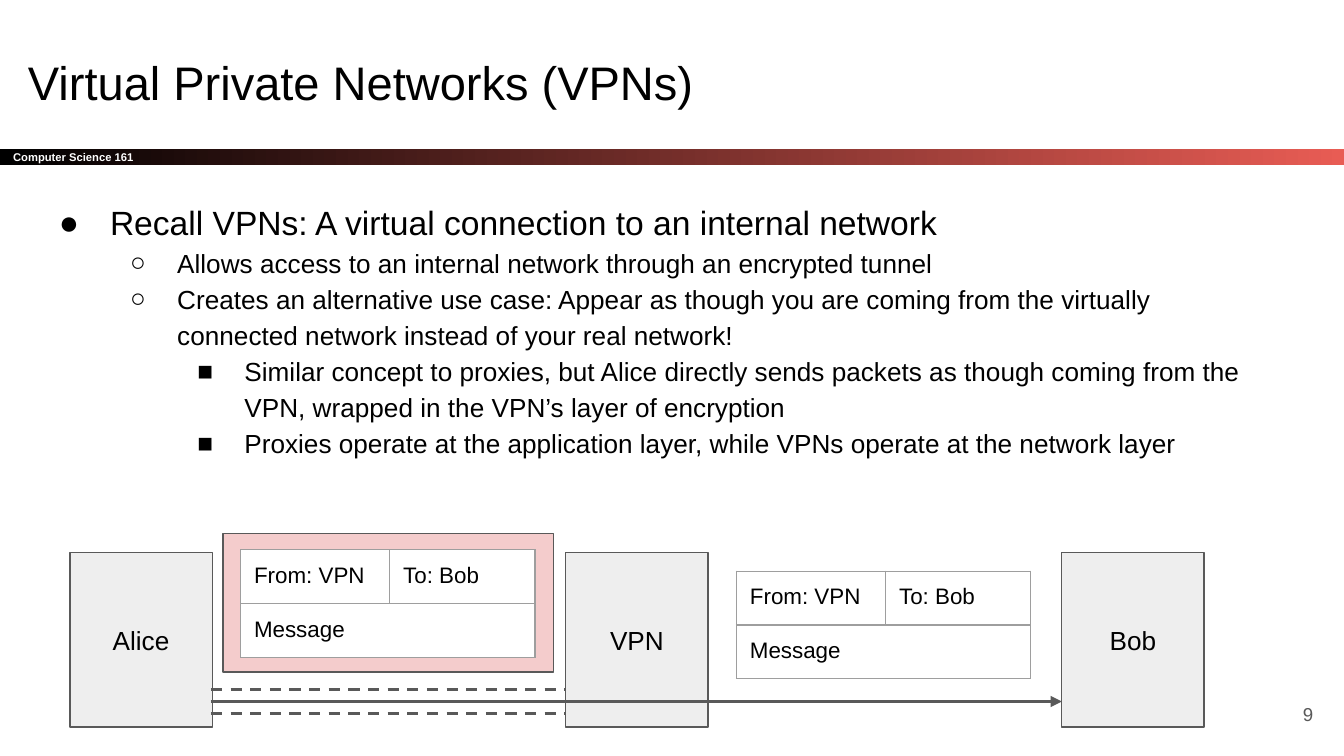
import pptx
import pptx.util
import pptx.dml.color
import pptx.enum.dml
import pptx.enum.shapes
import pptx.enum.text
import pptx.oxml
import pptx.oxml.ns
from dataclasses import dataclass
from typing import Any, Optional

Inches = pptx.util.Inches
Pt = pptx.util.Pt
ALIGN = pptx.enum.text.PP_ALIGN
ANCHOR = pptx.enum.text.MSO_ANCHOR
RECT = pptx.enum.shapes.MSO_SHAPE.RECTANGLE

COLORS = {
    "black": "000000", "white": "FFFFFF", "red": "E85C54", "pink": "F4CCCC",
    "gray": "EEEEEE", "dark": "595959", "edge": "9E9E9E",
}
FONT = "Arial"


@dataclass
class Box:
    left: float
    top: float
    width: float
    height: float
    fill: str
    text: str = ""


@dataclass
class Point:
    level: int
    text: str


@dataclass
class Level:
    mark: str
    indent: float
    hang: float
    size: float


@dataclass
class Line:
    end: float
    y: float
    dash: bool


@dataclass
class Packet:
    left: float
    top: float


def color(name: str) -> pptx.dml.color.RGBColor:
    return pptx.dml.color.RGBColor.from_string(COLORS[name])


def element(tag: str, **values: str) -> Any:
    node = pptx.oxml.parse_xml(f"<{tag} {pptx.oxml.ns.nsdecls('a')}/>")
    for key, value in values.items():
        node.set(key, value)
    return node


def style(para: Any, size: float, ink: str = "black", bold: bool = False,
          align: Any = ALIGN.LEFT) -> None:
    para.alignment = align
    for run in para.runs:
        run.font.name = FONT
        run.font.size = Pt(size)
        run.font.bold = bold
        run.font.color.rgb = color(ink)


def inset(frame: Any, anchor: Any) -> None:
    frame.word_wrap = True
    frame.vertical_anchor = anchor
    frame.margin_left = frame.margin_right = Inches(0.1)
    frame.margin_top = frame.margin_bottom = Inches(0.1)


def add_text(slide: Any, left: float, top: float, width: float, height: float,
             text: str, anchor: Any = ANCHOR.TOP) -> Any:
    shape = slide.shapes.add_textbox(Inches(left), Inches(top), Inches(width), Inches(height))
    inset(shape.text_frame, anchor)
    shape.text_frame.text = text
    return shape.text_frame


def add_banner(slide: Any) -> None:
    bar = slide.shapes.add_shape(RECT, 0, Inches(1.11), Inches(10), Inches(0.12))
    bar.shadow.inherit = False
    bar.line.fill.background()
    bar.fill.gradient()
    bar.fill.gradient_angle = 0
    for stop, name in zip(bar.fill.gradient_stops, ("black", "red")):
        stop.color.rgb = color(name)
    inset(bar.text_frame, ANCHOR.MIDDLE)
    bar.text_frame.text = "Computer Science 161"
    style(bar.text_frame.paragraphs[0], 6, "white", True)


def add_points(slide: Any, points: list[Point], levels: list[Level]) -> None:
    frame = add_text(slide, 0.22, 1.36, 9.32, 4.12, "\n".join(p.text for p in points))
    for para, point in zip(frame.paragraphs, points):
        level = levels[point.level]
        para.level = point.level
        para.line_spacing = 1.15
        props = para._p.get_or_add_pPr()
        props.set("marL", str(Inches(level.indent)))
        props.set("indent", str(Inches(-level.hang)))
        tint = element("a:buClr")
        tint.append(element("a:srgbClr", val=COLORS["black"]))
        props.append(tint)
        props.append(element("a:buFont", typeface=FONT))
        props.append(element("a:buChar", char=level.mark))
        style(para, level.size)


def add_box(slide: Any, box: Box) -> None:
    shape = slide.shapes.add_shape(RECT, Inches(box.left), Inches(box.top),
                                   Inches(box.width), Inches(box.height))
    shape.shadow.inherit = False
    shape.fill.solid()
    shape.fill.fore_color.rgb = color(box.fill)
    shape.line.color.rgb = color("dark")
    shape.line.width = Pt(0.75)
    if box.text:
        inset(shape.text_frame, ANCHOR.MIDDLE)
        shape.text_frame.text = box.text
        style(shape.text_frame.paragraphs[0], 14, align=ALIGN.CENTER)


def add_line(slide: Any, line: Line) -> None:
    wire = slide.shapes.add_connector(
        pptx.enum.shapes.MSO_CONNECTOR.STRAIGHT,
        Inches(1.57), Inches(line.y), Inches(line.end), Inches(line.y))
    wire.line.color.rgb = color("dark")
    wire.line.width = Pt(1.5)
    if line.dash:
        wire.line.dash_style = pptx.enum.dml.MSO_LINE.DASH
    else:
        wire.line._get_or_add_ln().append(element("a:tailEnd", type="triangle"))
    wire._element.spPr.append(element("a:effectLst"))


def fill_cell(cell: Any, text: Optional[str]) -> None:
    cell.fill.solid()
    cell.fill.fore_color.rgb = color("white")
    cell.margin_left = cell.margin_right = Inches(0.1)
    cell.margin_top = cell.margin_bottom = Inches(0.1)
    if text:
        cell.text_frame.text = text
        style(cell.text_frame.paragraphs[0], 12)
    props = cell._tc.get_or_add_tcPr()
    for place, side in enumerate("LRTB"):
        edge = element(f"a:ln{side}", w=str(Pt(0.75)))
        paint = element("a:solidFill")
        paint.append(element("a:srgbClr", val=COLORS["edge"]))
        edge.append(paint)
        props.insert(place, edge)


def add_packet(slide: Any, packet: Packet) -> None:
    table = slide.shapes.add_table(2, 2, Inches(packet.left), Inches(packet.top),
                                   Inches(2.19), Inches(0.58)).table
    table.first_row = table.horz_banding = False
    for column, width in zip(table.columns, (1.11, 1.08)):
        column.width = Inches(width)
    for row, height in zip(table.rows, (0.28, 0.3)):
        row.height = Inches(height)
    table.cell(1, 0).merge(table.cell(1, 1))
    words = ("From: VPN", "To: Bob", "Message", None)
    for place, text in enumerate(words):
        fill_cell(table.cell(*divmod(place, 2)), text)


def main() -> None:
    deck = pptx.Presentation()
    deck.slide_width = Inches(10)
    deck.slide_height = Inches(10 * 9 / 16)
    slide = deck.slides.add_slide(deck.slide_layouts[6])

    # Heading and page number
    add_banner(slide)
    title = add_text(slide, 0.11, 0.3, 9.32, 0.63, "Virtual Private Networks (VPNs)")
    style(title.paragraphs[0], 25.2)
    page = add_text(slide, 9.27, 5.1, 0.6, 0.43, "9", ANCHOR.MIDDLE)
    style(page.paragraphs[0], 10, "dark", align=ALIGN.RIGHT)

    # Bullet list
    levels = [Level("●", 0.5, 0.38, 18), Level("○", 1, 0.35, 14), Level("■", 1.5, 0.35, 14)]
    add_points(slide, [
        Point(0, "Recall VPNs: A virtual connection to an internal network"),
        Point(1, "Allows access to an internal network through an encrypted tunnel"),
        Point(1, "Creates an alternative use case: Appear as though you are coming from "
                 "the virtually connected network instead of your real network!"),
        Point(2, "Similar concept to proxies, but Alice directly sends packets as though "
                 "coming from the VPN, wrapped in the VPN’s layer of encryption"),
        Point(2, "Proxies operate at the application layer, while VPNs operate at the "
                 "network layer"),
    ], levels)

    # Hosts, tunnel and packets
    for name, left in (("Alice", 0.52), ("VPN", 4.21), ("Bob", 7.9)):
        add_box(slide, Box(left, 4.11, 1.06, 1.3, "gray", name))
    for line in (Line(4.21, 5.13, True), Line(7.9, 5.22, False), Line(4.21, 5.31, True)):
        add_line(slide, line)
    add_box(slide, Box(1.66, 3.97, 2.46, 1.03, "pink"))
    for packet in (Packet(1.79, 4.09), Packet(5.48, 4.25)):
        add_packet(slide, packet)

    deck.save("out.pptx")


if __name__ == "__main__":
    main()
